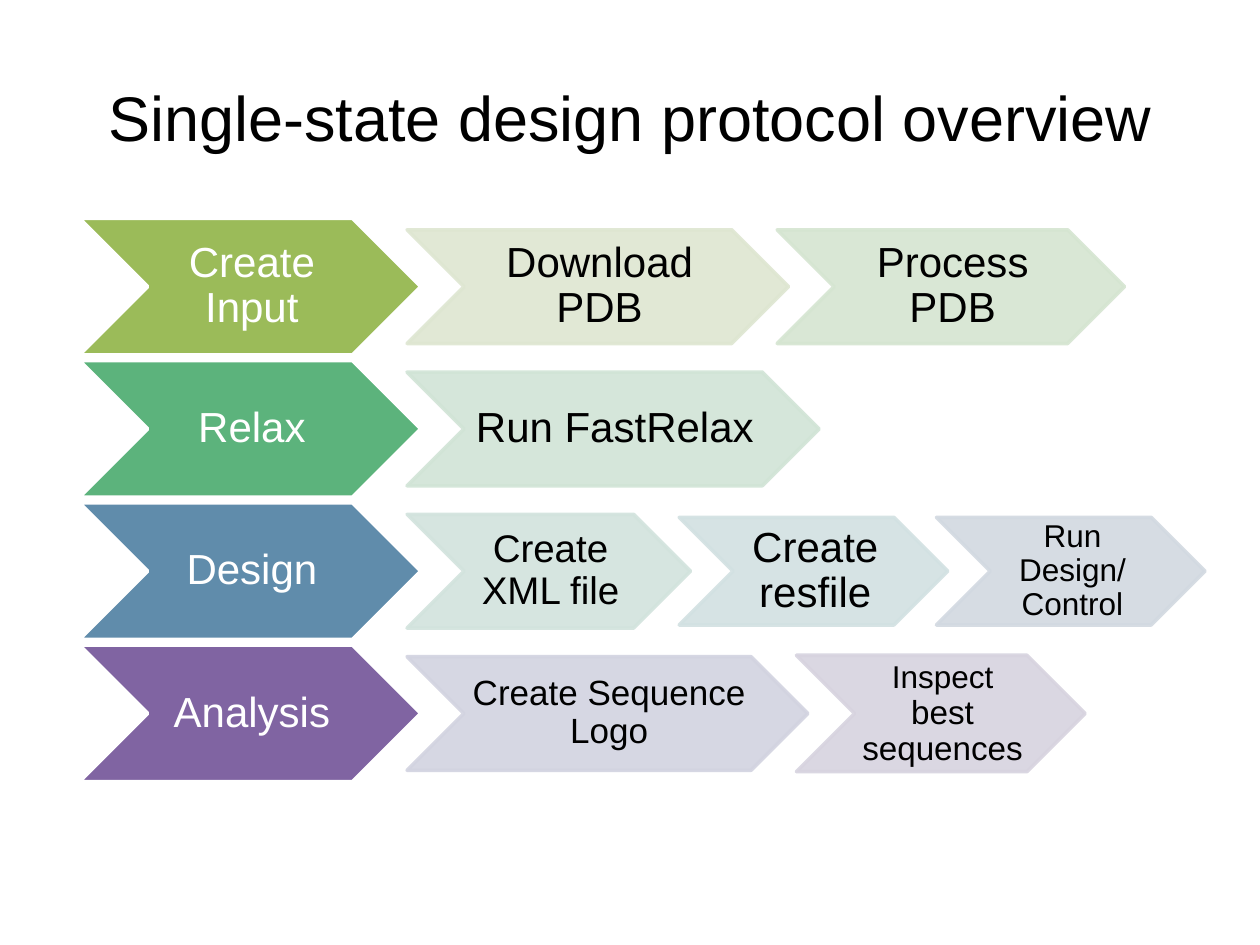
from dataclasses import dataclass

from lxml.etree import SubElement
from pptx import Presentation
from pptx.dml.color import RGBColor
from pptx.enum.shapes import MSO_SHAPE
from pptx.enum.text import MSO_ANCHOR, PP_ALIGN
from pptx.oxml.ns import qn
from pptx.util import Pt

FONT = "Arial"
BLACK = RGBColor(0x00, 0x00, 0x00)
WHITE = RGBColor(0xFF, 0xFF, 0xFF)
OLIVE = RGBColor(0x9B, 0xBB, 0x59)
GREEN = RGBColor(0x5C, 0xB3, 0x7C)
BLUE = RGBColor(0x60, 0x8C, 0xAB)
PURPLE = RGBColor(0x80, 0x64, 0xA2)
PALE_OLIVE = RGBColor(0xDE, 0xE6, 0xD1)
PALE_LIME = RGBColor(0xD5, 0xE5, 0xD1)
PALE_GREEN = RGBColor(0xD1, 0xE4, 0xD6)
PALE_MINT = RGBColor(0xD2, 0xE3, 0xDD)
PALE_TEAL = RGBColor(0xD2, 0xE1, 0xE2)
PALE_BLUE = RGBColor(0xD2, 0xD9, 0xE1)
PALE_INDIGO = RGBColor(0xD2, 0xD3, 0xE0)
PALE_PURPLE = RGBColor(0xD7, 0xD3, 0xDF)

STAGE_WIDTH, STAGE_HEIGHT = 195, 78
ROW_PITCH = 81.3
STAGE_OVERLAP, STEP_OVERLAP = 7.8, 6.5


@dataclass
class Step:
    """One chevron; lead is an opening part of the label in its own size."""
    label: str
    color: RGBColor
    width: float
    height: float = 65
    size: float = 24
    lead: str = ""
    lead_size: float = 18


STAGES = [
    (Step("Create Input", OLIVE, STAGE_WIDTH, STAGE_HEIGHT), [
        Step("Download PDB", PALE_OLIVE, 218),
        Step("Process PDB", PALE_LIME, 198.5)]),
    (Step("Relax", GREEN, STAGE_WIDTH, STAGE_HEIGHT), [
        Step("Run FastRelax", PALE_GREEN, 235.5)]),
    (Step("Design", BLUE, STAGE_WIDTH, STAGE_HEIGHT), [
        Step("Create XML file", PALE_MINT, 162, size=22),
        Step("Create resfile", PALE_TEAL, 153.5, 61.5),
        Step("Run\nDesign/\nControl", PALE_BLUE, 153.5, 61.5, 18)]),
    (Step("Analysis", PURPLE, STAGE_WIDTH, STAGE_HEIGHT), [
        Step("Create Sequence Logo", PALE_INDIGO, 229, size=20),
        Step(" best sequences", PALE_PURPLE, 165, 66.5, 19, "Inspect")]),
]


def set_alpha(fill_format, percent):
    """Make a solid fill partly transparent."""
    color = fill_format.fore_color._xFill[0]
    SubElement(color, qn("a:alpha"), val=str(percent * 1000))


def add_chevron(slide, left, middle, step, line_color, text_color):
    """Draw a labelled chevron centred vertically on middle."""
    chevron = slide.shapes.add_shape(
        MSO_SHAPE.CHEVRON, Pt(left), Pt(middle - step.height / 2),
        Pt(step.width), Pt(step.height))
    chevron.shadow.inherit = False
    chevron.fill.solid()
    chevron.fill.fore_color.rgb = step.color
    chevron.line.color.rgb = line_color
    chevron.line.width = Pt(2)

    frame = chevron.text_frame
    frame.word_wrap = True
    frame.vertical_anchor = MSO_ANCHOR.MIDDLE
    frame.margin_left, frame.margin_right = Pt(2), Pt(0)
    frame.margin_top = frame.margin_bottom = Pt(1)
    frame.text = step.lead or step.label
    for paragraph in frame.paragraphs:
        paragraph.alignment = PP_ALIGN.CENTER
        paragraph.line_spacing = 0.9
        paragraph.font.name = FONT
        paragraph.font.size = Pt(step.size)
        paragraph.font.color.rgb = text_color
    if step.lead:
        first = frame.paragraphs[0]
        first.runs[0].font.size = Pt(step.lead_size)
        first.add_run().text = step.label
    return chevron


def add_stage(slide, left, top, stage, steps):
    """Draw a stage chevron followed by its paler steps."""
    middle = top + STAGE_HEIGHT / 2
    add_chevron(slide, left, middle, stage, WHITE, WHITE)
    left += stage.width - STAGE_OVERLAP
    for step in steps:
        chevron = add_chevron(slide, left, middle, step, step.color, BLACK)
        set_alpha(chevron.fill, 90)
        set_alpha(chevron.line.fill, 90)
        left += step.width - STEP_OVERLAP


def add_protocol(slide, left, top):
    """Stack the stages at an even pitch."""
    for row, (stage, steps) in enumerate(STAGES):
        add_stage(slide, left, top + row * ROW_PITCH, stage, steps)


def add_title(slide, left, top, width, height):
    """Place and format the title placeholder."""
    title = slide.shapes.title
    title.left, title.top = Pt(left), Pt(top)
    title.width, title.height = Pt(width), Pt(height)
    frame = title.text_frame
    frame.text = "Single-state design protocol overview"
    frame.vertical_anchor = MSO_ANCHOR.MIDDLE
    heading = frame.paragraphs[0]
    heading.alignment = PP_ALIGN.CENTER
    heading.font.name = FONT
    heading.font.size = Pt(36)
    heading.font.color.rgb = BLACK


def main():
    """Build and save the slide."""
    deck = Presentation()
    deck.slide_width, deck.slide_height = Pt(720), Pt(540)
    slide = deck.slides.add_slide(deck.slide_layouts[5])
    add_title(slide, 36, 21.6, 648, 90)
    add_protocol(slide, 45.4, 124.8)
    deck.save("out.pptx")


if __name__ == "__main__":
    main()
